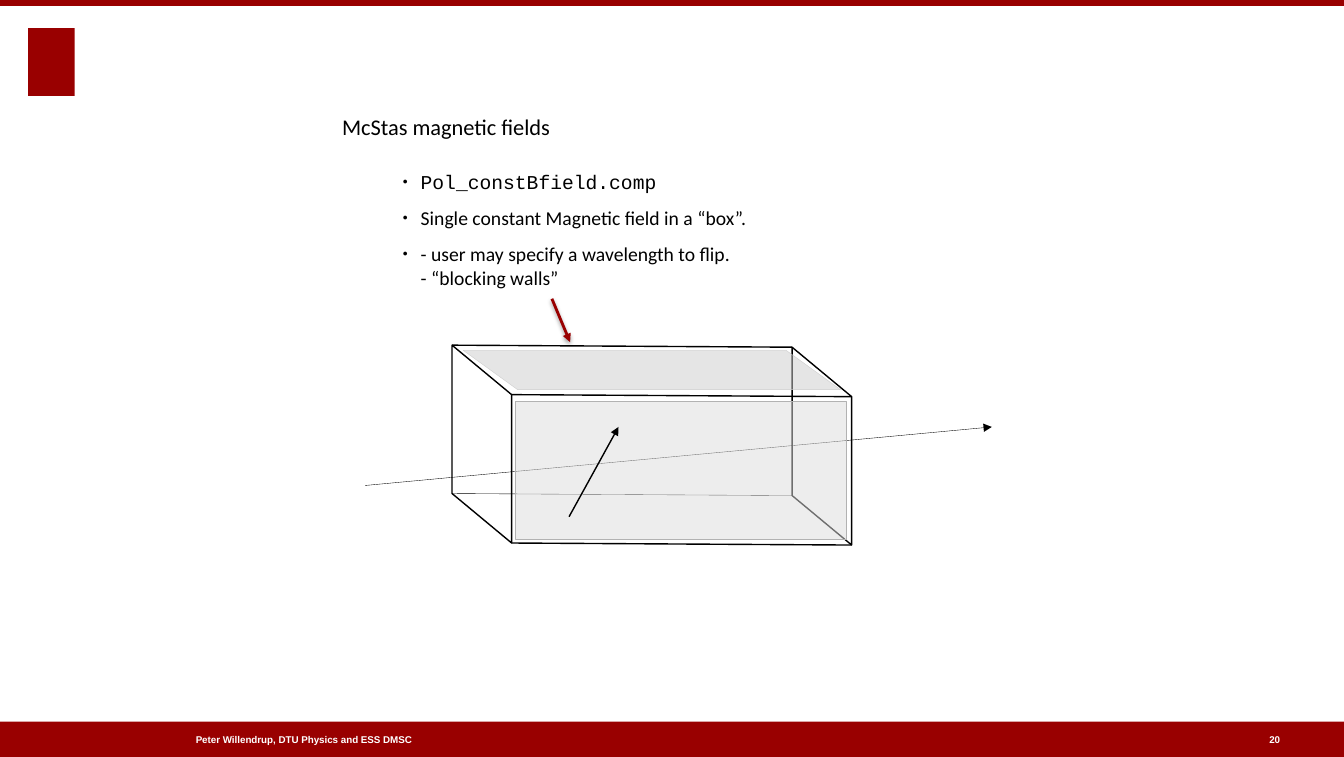
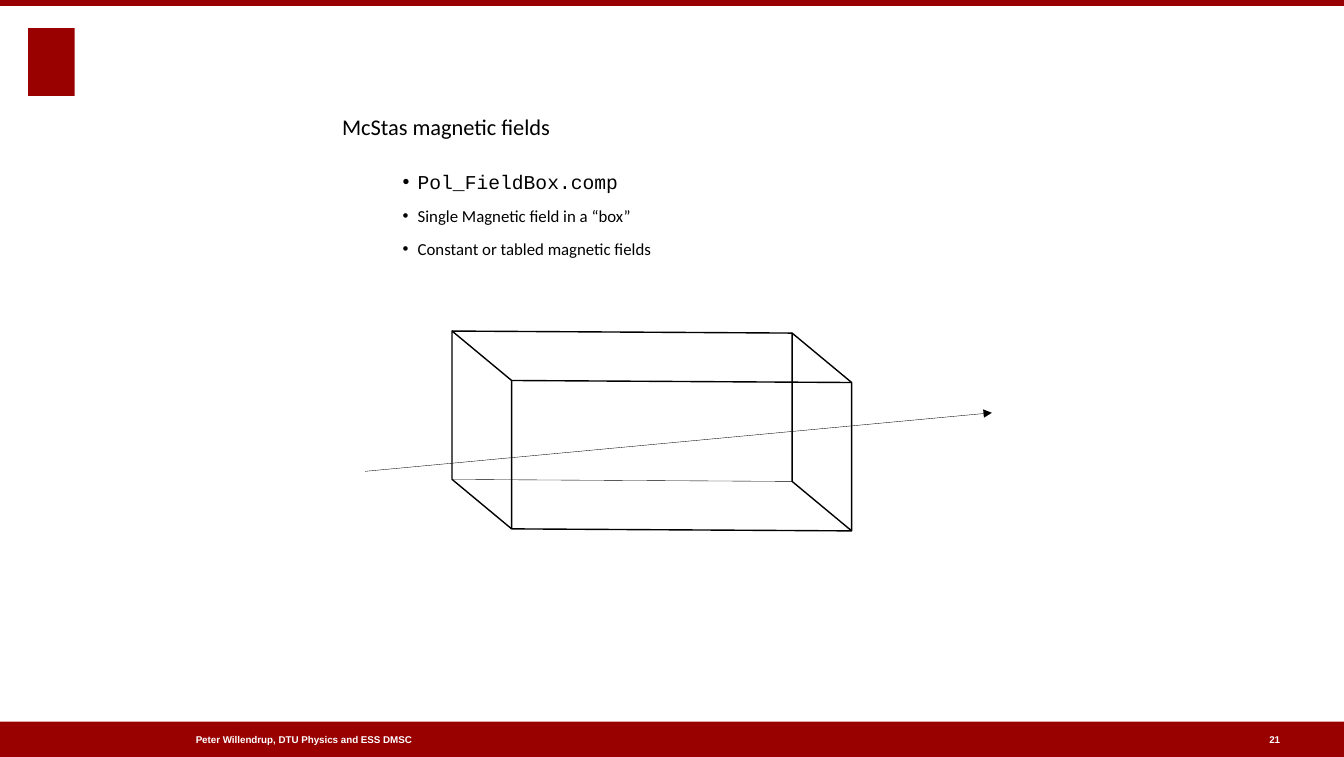
from copy import deepcopy
from dataclasses import dataclass

from lxml import etree
from pptx import Presentation
from pptx.dml.color import RGBColor
from pptx.enum.shapes import MSO_CONNECTOR, MSO_SHAPE
from pptx.enum.text import MSO_ANCHOR, MSO_AUTO_SIZE, PP_ALIGN
from pptx.oxml.ns import qn
from pptx.util import Inches, Pt

RECT = MSO_SHAPE.RECTANGLE
LINE = MSO_CONNECTOR.STRAIGHT
TOP, MID = MSO_ANCHOR.TOP, MSO_ANCHOR.MIDDLE
LEFT = PP_ALIGN.LEFT
FIXED = MSO_AUTO_SIZE.NONE


@dataclass(frozen=True)
class Theme:
    red: str = "990000"
    ink: str = "000000"
    white: str = "FFFFFF"
    lid: str = "CCCCCC"
    pane: str = "DDDDDD"
    rim: str = "B2B2B2"
    body: str = "Calibri"
    code: str = "Courier New"
    foot: str = "Arial"
    head_pt: float = 16
    text_pt: float = 14
    note_pt: float = 12
    foot_pt: float = 7
    gap_pt: float = 9
    thick: float = 2
    edge: float = 1
    hair: float = 0.25


T = Theme()
WIDE, HIGH = 13.32, 7.5
TITLE = "McStas magnetic fields"
FOOTER = "Peter Willendrup, DTU Physics and ESS DMSC"
HEAD = {"name": T.body, "size": T.head_pt, "color": T.ink}
CODE = {"name": T.code, "size": T.text_pt, "color": T.ink}
TEXT = {"name": T.body, "size": T.text_pt, "color": T.ink}
NOTE = {**TEXT, "size": T.note_pt}
FOOT = {"name": T.foot, "size": T.foot_pt, "color": T.white, "bold": True}

BANDS = [(0, 0, WIDE, 0.06), (0, 7.15, WIDE, 0.35)]
EMBLEM = (0.28, 0.28, 0.46, 0.67)

SLIDES = [
    {
        "number": "20",
        "top": 3.42,
        "bullet": ("●", 45, 0.18),
        "lines": [
            ("Pol_constBfield.comp", CODE),
            ("Single constant Magnetic field in a “box”.", TEXT),
            ("- user may specify a wavelength to flip.\v- “blocking walls”", TEXT),
        ],
        "walls": True,
    },
    {
        "number": "21",
        "top": 3.28,
        "bullet": ("•", 100, 0.15),
        "lines": [
            ("Pol_FieldBox.comp", CODE),
            ("Single Magnetic field in a “box”", NOTE),
            ("Constant or tabled magnetic fields", NOTE),
        ],
        "walls": False,
    },
]


def rgb(code):
    return RGBColor.from_string(code)


def add(parent, tag, **attrs):
    return etree.SubElement(parent, qn(tag), attrs)


def style(para, form):
    for run in para.runs:
        for key, val in form.items():
            if key == "color":
                run.font.color.rgb = rgb(val)
            else:
                setattr(run.font, key, Pt(val) if key == "size" else val)
    for brk in para._p.findall(qn("a:br")):
        brk.insert(0, deepcopy(para.runs[0]._r.rPr))


def place(shape, box):
    for key, val in zip(("left", "top", "width", "height"), box):
        setattr(shape, key, Inches(val))


def frame(shape, inset=0, wrap=True, anchor=TOP):
    body = shape.text_frame
    form = {"word_wrap": wrap, "vertical_anchor": anchor, "auto_size": FIXED}
    form.update({f"margin_{s}": Inches(inset) for s in ("left", "top", "right", "bottom")})
    for key, val in form.items():
        setattr(body, key, val)
    return body


def label(slide, box, text, form, **opts):
    body = frame(slide.shapes.add_textbox(*map(Inches, box)), **opts)
    body.text = text
    style(body.paragraphs[0], form)


def paint(shape, fill=None, line=None, width=T.hair, alpha=None):
    shape.shadow.inherit = False
    if fill:
        shape.fill.solid()
        shape.fill.fore_color.rgb = rgb(fill)
        if alpha:
            tone = shape._element.spPr.find(qn("a:solidFill"))[0]
            add(tone, "a:alpha", val=str(alpha * 1000))
    else:
        shape.fill.background()
    if line:
        shape.line.color.rgb = rgb(line)
        shape.line.width = Pt(width)
    else:
        shape.line.fill.background()


def block(slide, box, **look):
    paint(slide.shapes.add_shape(RECT, *map(Inches, box)), **look)


def outline(slide, points, **look):
    spots = [(Inches(x), Inches(y)) for x, y in points]
    pen = slide.shapes.build_freeform(*spots[0])
    pen.add_line_segments(spots[1:], close=True)
    paint(pen.convert_to_shape(), **look)


def stroke(slide, start, end, width=T.edge, color=T.ink, arrow=False, shade=False):
    line = slide.shapes.add_connector(LINE, *map(Inches, (*start, *end)))
    line.line.color.rgb = rgb(color)
    line.line.width = Pt(width)
    if arrow:
        add(line.line._get_or_add_ln(), "a:tailEnd", type="triangle")
    fx = add(line._element.spPr, "a:effectLst")
    if shade:
        drop = add(fx, "a:outerShdw", blurRad=str(Pt(3)), dist=str(Pt(1.6)),
                   dir="5400000", rotWithShape="0")
        add(add(drop, "a:srgbClr", val=T.ink), "a:alpha", val="38000")


def bullets(slide, lines, mark):
    char, size, indent = mark
    box = slide.shapes.add_textbox(*map(Inches, (3.96, 1.65, 4.3, 1.31)))
    body = frame(box, inset=0.03)
    for i, (text, form) in enumerate(lines):
        para = body.add_paragraph() if i else body.paragraphs[0]
        para.text = text
        if i:
            para.space_before = Pt(T.gap_pt)
        props = para._p.get_or_add_pPr()
        props.set("marL", str(Inches(indent)))
        props.set("indent", str(-Inches(indent)))
        add(add(props, "a:buClr"), "a:srgbClr", val=T.ink)
        add(props, "a:buSzPct", val=str(size * 1000))
        add(props, "a:buFont", typeface=T.foot)
        add(props, "a:buChar", char=char)
        style(para, form)


def field_box(slide, top):
    """Draw the wire box and the ray that crosses it."""
    left, wide, tilt, tall = 4.48, 3.37, 0.02, 1.47
    deep, fall = 0.59, 0.49

    def corner(right, low, front):
        return (left + right * wide + front * deep,
                top + right * tilt + low * tall + front * fall)

    for right in (1, 0):
        face = [corner(right, *c) for c in ((1, 0), (0, 0), (0, 1), (1, 1))]
        outline(slide, face, line=T.ink, width=T.edge)
    for low, front in ((0, 0), (0, 1), (1, 1), (1, 0)):
        width = T.hair if low and not front else T.edge
        stroke(slide, corner(0, low, front), corner(1, low, front), width)
    stroke(slide, (3.62, top + 1.39), (9.83, top + 0.81), T.hair, arrow=True)


def walls(slide):
    lid = [(5.13, 3.86), (8.33, 3.86), (7.79, 3.47), (4.59, 3.47)]
    outline(slide, lid, fill=T.lid, line=T.lid, alpha=50)
    block(slide, (5.11, 3.98, 3.28, 1.36), fill=T.pane, line=T.rim, alpha=50)
    stroke(slide, (5.64, 5.12), (6.13, 4.23), arrow=True)
    stroke(slide, (5.47, 2.96), (5.65, 3.39), T.thick, T.red, arrow=True, shade=True)


def base(deck, number):
    """Add a slide with the shared bands, footer and title."""
    slide = deck.slides.add_slide(deck.slide_layouts[5])
    for box in (*BANDS, EMBLEM):
        block(slide, box, fill=T.red)
    label(slide, (1.94, 7.26, 3.72, 0.14), FOOTER, FOOT, anchor=MID)
    label(slide, (12.58, 7.26, 0.14, 0.14), number, FOOT, wrap=False, anchor=MID)
    title = slide.shapes.title
    place(title, (3.39, 1.12, 6.28, 0.27))
    body = frame(title)
    body.text = TITLE
    body.paragraphs[0].alignment = LEFT
    style(body.paragraphs[0], HEAD)
    return slide


def main():
    deck = Presentation()
    deck.slide_width, deck.slide_height = Inches(WIDE), Inches(HIGH)
    for data in SLIDES:
        slide = base(deck, data["number"])
        bullets(slide, data["lines"], data["bullet"])
        field_box(slide, data["top"])
        if data["walls"]:
            walls(slide)
    deck.save("out.pptx")


if __name__ == "__main__":
    main()
